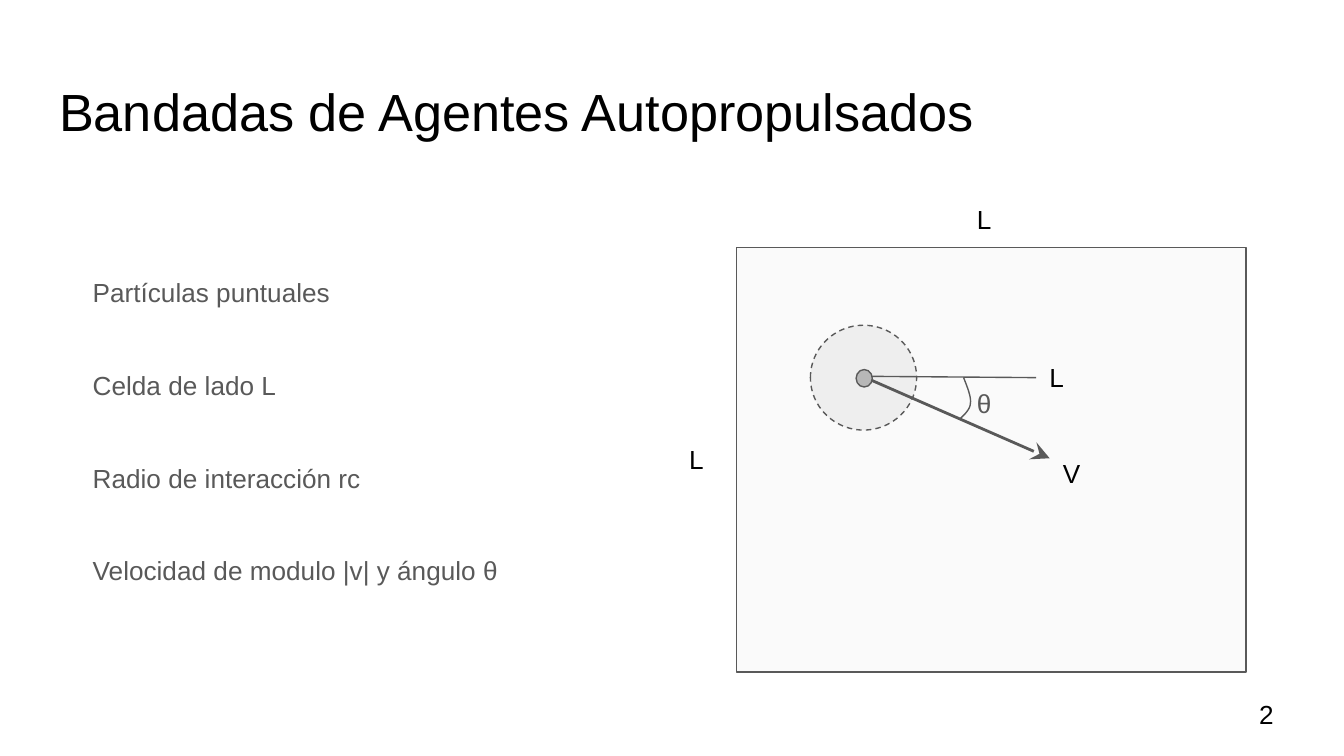
from dataclasses import dataclass
from lxml.etree import SubElement
from pptx import Presentation
from pptx.dml.color import RGBColor as Rgb
from pptx.enum.dml import MSO_LINE_DASH_STYLE as Dash
from pptx.enum.shapes import MSO_CONNECTOR as Conn, MSO_SHAPE as Kind
from pptx.enum.text import MSO_ANCHOR as Anchor, MSO_AUTO_SIZE as Fit, PP_ALIGN as Align
from pptx.oxml.ns import qn
from pptx.util import Pt

PX = 9144
WIDE = 1000


@dataclass(frozen=True)
class Theme:
    font: str = "Arial"
    ink: str = "000000"
    gray: str = "595959"
    cell: str = "FAFAFA"
    zone: str = "EEEEEE"
    dot: str = "B7B7B7"
    head: int = 28
    text: int = 14
    thin: float = 0.75
    bold: float = 1.5


LOOK = Theme()
TOPICS = [
    "Partículas puntuales",
    "Celda de lado L",
    "Radio de interacción rc",
    "Velocidad de modulo |v| y ángulo θ",
]
LABELS = [
    ("L", (503, 320, 45, 43)),
    ("L", (717, 141, 45, 43)),
    ("L", (771, 259, 45, 43)),
    ("V", (781, 330, 38, 43)),
]
ARC = [
    [(717, 281), (718, 284), (723, 295), (722, 300)],
    [(722, 300), (722, 305), (716, 310), (714, 312)],
]


def emu(*vals):
    return [round(val * PX) for val in vals]


def apply(item, form):
    for name, val in form.items():
        setattr(item, name, val)


def write(shape, lines, size=LOOK.text, tint=LOOK.ink, pad=(10, 10, 10, 10), anchor=Anchor.TOP, para=None):
    frame = shape.text_frame
    sides = ("margin_left", "margin_top", "margin_right", "margin_bottom")
    apply(frame, dict(zip(sides, emu(*pad))))
    apply(frame, {"word_wrap": True, "auto_size": Fit.NONE, "vertical_anchor": anchor})
    frame.text = "\n".join(lines)
    for par in frame.paragraphs:
        apply(par, {"alignment": Align.LEFT, **(para or {})})
        for run in par.runs:
            apply(run.font, {"name": LOOK.font, "size": Pt(size)})
            run.font.color.rgb = Rgb.from_string(tint)


def label(slide, lines, box, **form):
    write(slide.shapes.add_textbox(*emu(*box)), lines, **form)


def stroke(line, width=LOOK.thin):
    line.color.rgb = Rgb.from_string(LOOK.gray)
    line.width = Pt(width)


def solid(slide, kind, box, fill, dash=None):
    shape = slide.shapes.add_shape(kind, *emu(*box))
    shape.shadow.inherit = False
    shape.fill.solid()
    shape.fill.fore_color.rgb = Rgb.from_string(fill)
    stroke(shape.line)
    if dash:
        shape.line.dash_style = dash


def ray(slide, start, end, width=LOOK.thin, tip=None):
    link = slide.shapes.add_connector(Conn.STRAIGHT, *emu(*start, *end))
    stroke(link.line, width)
    props = link._element.spPr
    if tip:
        SubElement(props.find(qn("a:ln")), qn("a:tailEnd"), type=tip, w="lg", len="lg")
    SubElement(props, qn("a:effectLst"))


def bezier(knots, step):
    rest = 1 - step
    parts = (rest**3, 3 * rest**2 * step, 3 * rest * step**2, step**3)
    return tuple(sum(w * p[axis] for w, p in zip(parts, knots)) for axis in (0, 1))


def curve(slide, curves, steps=12):
    spots = [emu(*bezier(knots, i / steps)) for knots in curves for i in range(1, steps + 1)]
    build = slide.shapes.build_freeform(*emu(*curves[0][0]), scale=1.0)
    build.add_line_segments(spots, close=False)
    shape = build.convert_to_shape()
    shape.shadow.inherit = False
    shape.fill.background()
    stroke(shape.line)


def title(slide, text, box):
    shape = slide.shapes.title
    apply(shape, dict(zip(("left", "top", "width", "height"), emu(*box))))
    write(shape, [text], size=LOOK.head)


def main():
    deck = Presentation()
    deck.slide_width, deck.slide_height = emu(WIDE, WIDE * 9 / 16)
    slide = deck.slides.add_slide(deck.slide_layouts[5])
    title(slide, "Bandadas de Agentes Autopropulsados", (34, 49, 932, 63))
    label(slide, TOPICS, (34, 126, 437, 374), tint=LOOK.gray, pad=(35, 10, 10, 64),
          anchor=Anchor.BOTTOM, para={"line_spacing": 2.0, "space_before": Pt(16)})
    label(slide, ["2"], (927, 510, 60, 43), anchor=Anchor.MIDDLE)
    solid(slide, Kind.RECTANGLE, (548, 184, 379, 316), LOOK.cell)
    solid(slide, Kind.OVAL, (603, 242, 79, 78), LOOK.zone, Dash.DASH)
    ray(slide, (645, 280), (771, 281))
    ray(slide, (644, 281), (781, 341), LOOK.bold, "stealth")
    curve(slide, ARC)
    for text, box in LABELS:
        label(slide, [text], box)
    label(slide, ["θ"], (717, 275, 45, 43), tint=LOOK.gray,
          para={"line_spacing": 1.15, "space_after": Pt(16)})
    solid(slide, Kind.OVAL, (637, 275, 12, 13), LOOK.dot)
    deck.save("out.pptx")


if __name__ == "__main__":
    main()
